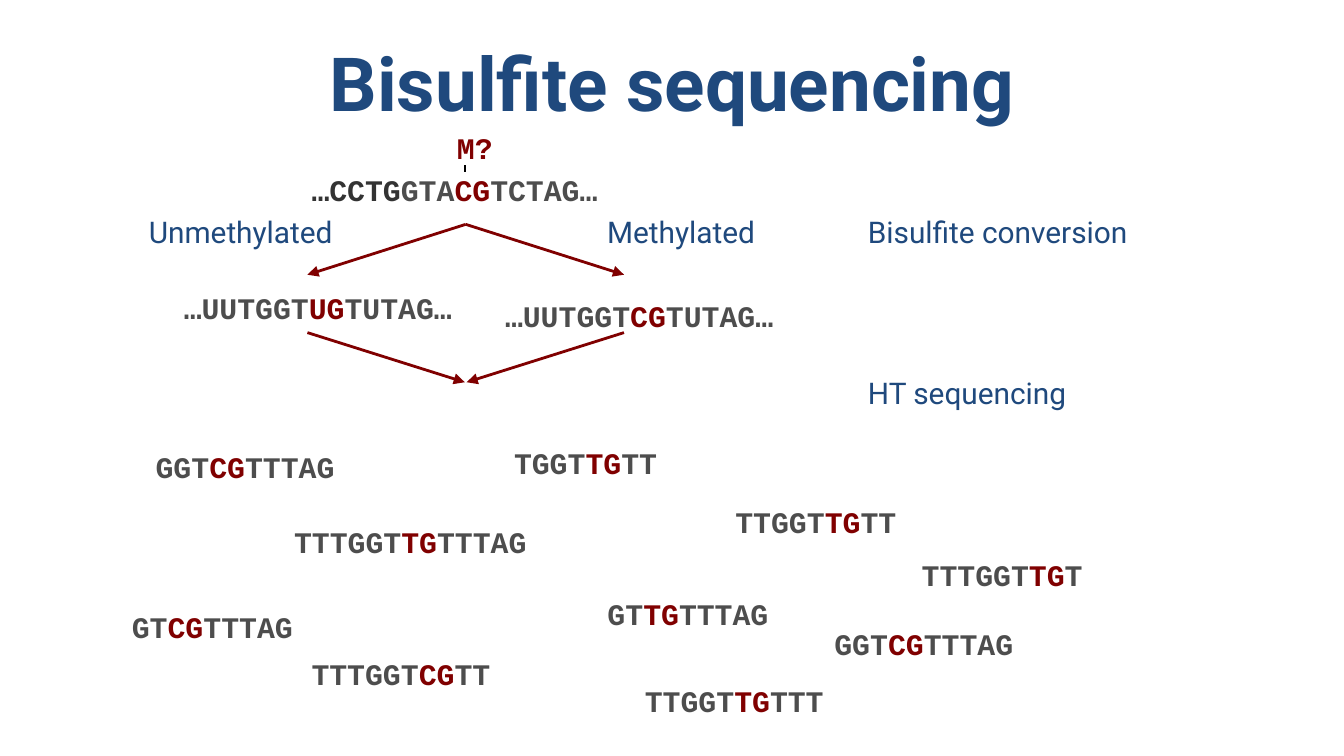
from pptx import Presentation
from pptx.dml.color import RGBColor
from pptx.enum.shapes import MSO_CONNECTOR as Link
from pptx.enum.text import MSO_ANCHOR as Anchor, MSO_AUTO_SIZE as Fit, PP_ALIGN as Align
from pptx.oxml.ns import qn
from pptx.util import Pt
from lxml.etree import SubElement as Sub

HEX = {"blue": "1F497D", "red": "800000", "gray": "4D4D4D",
       "dark": "333333", "black": "000000"}
SANS, MONO = "Roboto", "Courier New"
STEP = 9.6      # width of one base at 16 pt
PAD = 14.4      # left plus right inset
HIGH = 26.6     # height of one line of text


def color(name):
    return RGBColor.from_string(HEX[name])


def write(frame, runs, font=SANS, size=16, bold=False, align=Align.LEFT):
    """Fill a frame with (text, color) runs."""
    para = frame.paragraphs[0]
    para.alignment = align
    for text, tint in runs:
        run = para.add_run()
        run.text = text
        run.font.name, run.font.size, run.font.bold = font, Pt(size), bold
        run.font.color.rgb = color(tint)


def label(slide, x, y, wide, runs, **form):
    box = slide.shapes.add_textbox(Pt(x), Pt(y), Pt(wide), Pt(HIGH))
    frame = box.text_frame
    frame.word_wrap = False
    frame.auto_size = Fit.SHAPE_TO_FIT_TEXT
    write(frame, runs, **form)


def strand(slide, x, y, runs):
    """Place a sequence in a box as wide as its bases."""
    wide = STEP * sum(len(text) for text, _ in runs) + PAD
    label(slide, x, y, wide, runs, font=MONO, bold=True)


def bases(head, site, tail):
    return [(head, "gray"), (site, "red"), (tail, "gray")]


def line(slide, x1, y1, x2, y2, tint="red", width=1.5, arrow=True):
    link = slide.shapes.add_connector(Link.STRAIGHT, Pt(x1), Pt(y1), Pt(x2), Pt(y2))
    link.line.color.rgb = color(tint)
    link.line.width = Pt(width)
    if arrow:
        Sub(link.line._get_or_add_ln(), qn("a:tailEnd"), type="triangle")
    Sub(link._element.spPr, qn("a:effectLst"))


def heading(slide, x, y, wide, high):
    title = slide.shapes.title
    title.left, title.top, title.width, title.height = Pt(x), Pt(y), Pt(wide), Pt(high)
    title.text_frame.vertical_anchor = Anchor.MIDDLE
    write(title.text_frame, [("Bisulfite sequencing", "blue")],
          size=40, bold=True, align=Align.CENTER)


def convert(slide, x, y):
    """Input strand, its two conversion products and the arrows."""
    # Input strand with the site in question
    strand(slide, x + 87.1, y + 22.4,
           [("…CCTG", "dark"), ("GTA", "gray"), ("CG", "red"), ("TCTAG…", "gray")])
    strand(slide, x + 165, y, [("M?", "red")])
    mid = x + 176.8
    line(slide, mid - 0.4, y + 22.4, mid - 0.4, y + 26, "black", 1, arrow=False)

    # Converted strands
    strand(slide, x + 18.7, y + 85.7, bases("…UUTGGT", "UG", "TUTAG…"))
    strand(slide, x + 190.8, y + 90, bases("…UUTGGT", "CG", "TUTAG…"))

    # Arrows out to the products and back together
    reach = 84.8
    for side in (-1, 1):
        line(slide, mid, y + 54, mid + side * reach, y + 81)
        line(slide, mid + side * reach, y + 112, mid + side * 0.5, y + 138.6)

    # Branch names
    for dx, wide, name in ((0, 115.2, "Unmethylated"), (245.5, 95, "Methylated")):
        label(slide, x + dx, y + 44.7, wide, [(name, "blue")])


def steps(slide, x, y):
    for dy, wide, name in ((0, 155.5, "Bisulfite conversion"), (86.4, 128.2, "HT sequencing")):
        label(slide, x, y + dy, wide, [(name, "blue")])


READS = [  # offset in the field, then bases around the site
    (12.7, 2.2, "GGT", "CG", "TTTAG"),
    (204.7, 0, "TGGT", "TG", "TT"),
    (323.3, 31.7, "TTGGT", "TG", "TT"),
    (86.9, 42.5, "TTTGGT", "TG", "TTTAG"),
    (423.1, 59.8, "TTTGGT", "TG", "T"),
    (254.8, 80.7, "GT", "TG", "TTTAG"),
    (0, 87.9, "GT", "CG", "TTTAG"),
    (376.3, 97.2, "GGT", "CG", "TTTAG"),
    (96.2, 113.1, "TTTGGT", "CG", "TT"),
    (274.8, 127.5, "TTGGT", "TG", "TTT"),
]


def reads(slide, x, y):
    for dx, dy, *parts in READS:
        strand(slide, x + dx, y + dy, bases(*parts))


def main():
    deck = Presentation()
    deck.slide_width, deck.slide_height = Pt(720), Pt(405)
    slide = deck.slides.add_slide(deck.slide_layouts[5])
    heading(slide, 0, 14.4, 720, 59)
    convert(slide, 72.7, 66.2)
    steps(slide, 457.9, 110.9)
    reads(slide, 63.6, 234.7)
    deck.save("out.pptx")


if __name__ == "__main__":
    main()
